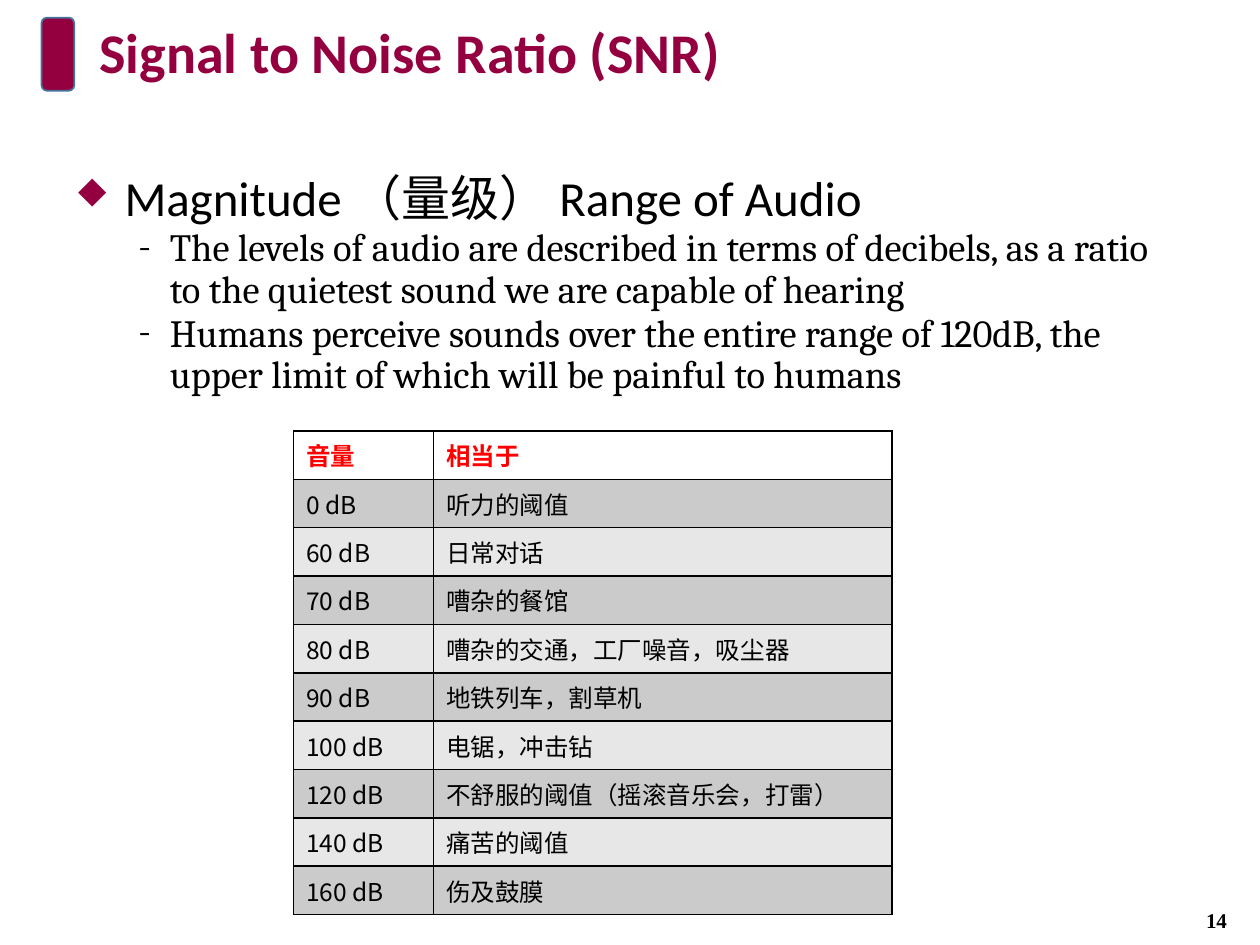
from lxml import etree
from pptx import Presentation
from pptx.dml.color import RGBColor
from pptx.enum.shapes import MSO_SHAPE
from pptx.enum.text import MSO_ANCHOR, MSO_AUTO_SIZE, PP_ALIGN
from pptx.oxml.ns import qn
from pptx.util import Inches, Pt

MIDDLE = MSO_ANCHOR.MIDDLE
COLORS = {
    "accent": "94003F", "outline": "43739E", "black": "000000", "red": "FF0000",
    "header": "FFFFFF", "dark": "CBCBCB", "light": "E7E7E7",
}
TITLE = "Signal to Noise Ratio (SNR)"
HEADING = [("Magnitude", "Calibri"), (" （量级）", "Cambria"), (" Range of Audio", "Calibri")]
POINTS = [
    "The levels of audio are described in terms of decibels, as a ratio to the "
    "quietest sound we are capable of hearing",
    "Humans perceive sounds over the entire range of 120dB, the upper limit of "
    "which will be painful to humans",
]
LEVELS = [
    ("音量", "相当于"),
    ("0 dB", "听力的阈值"),
    ("60 dB", "日常对话"),
    ("70 dB", "嘈杂的餐馆"),
    ("80 dB", "嘈杂的交通，工厂噪音，吸尘器"),
    ("90 dB", "地铁列车，割草机"),
    ("100 dB", "电锯，冲击钻"),
    ("120 dB", "不舒服的阈值（摇滚音乐会，打雷）"),
    ("140 dB", "痛苦的阈值"),
    ("160 dB", "伤及鼓膜"),
]
COLUMN_WIDTHS = (1.11, 3.64)
TABLE_HEIGHT = 3.84


def color(name):
    return RGBColor.from_string(COLORS[name])


def box(left, top, width, height):
    return Inches(left), Inches(top), Inches(width), Inches(height)


def add_element(parent, tag, **attributes):
    return etree.SubElement(parent, qn(tag), attributes)


def format_run(run, font_name, size, color_name="black", bold=False):
    font = run.font
    font.name, font.size, font.bold = font_name, Pt(size), bold
    font.color.rgb = color(color_name)
    add_element(run._r.get_or_add_rPr(), "a:ea", typeface="Noto Sans CJK SC")


def format_bullet(paragraph, character, font_name, margin, hanging,
                  color_name="black", percent=100):
    paragraph.line_spacing = 0.9
    paragraph.space_before = Pt(1.2)
    properties = paragraph._p.get_or_add_pPr()
    properties.set("marL", str(Inches(margin)))
    properties.set("indent", str(-Inches(hanging)))
    bullet_color = add_element(properties, "a:buClr")
    add_element(bullet_color, "a:srgbClr", val=COLORS[color_name])
    add_element(properties, "a:buSzPct", val=str(percent * 1000))
    add_element(properties, "a:buFont", typeface=font_name)
    add_element(properties, "a:buChar", char=character)


def add_title(slide):
    marker = slide.shapes.add_shape(MSO_SHAPE.ROUNDED_RECTANGLE, *box(0.33, 0.14, 0.26, 0.58))
    marker.shadow.inherit = False
    marker.fill.solid()
    marker.fill.fore_color.rgb = color("accent")
    marker.line.color.rgb = color("outline")
    marker.line.width = Pt(1)

    title = slide.shapes.title
    title.left, title.top, title.width, title.height = box(0.69, 0.15, 8.62, 0.58)
    text_frame = title.text_frame
    text_frame.text = TITLE
    text_frame.auto_size = MSO_AUTO_SIZE.NONE
    text_frame.vertical_anchor = MIDDLE
    paragraph = text_frame.paragraphs[0]
    paragraph.alignment = PP_ALIGN.LEFT
    paragraph.line_spacing = 0.9
    format_run(paragraph.runs[0], "Calibri", 32, "accent", True)


def add_body(slide):
    text_frame = slide.shapes.add_textbox(*box(0.5, 1.33, 9, 5.33)).text_frame
    text_frame.word_wrap = True
    heading = text_frame.paragraphs[0]
    for text, font_name in HEADING:
        run = heading.add_run()
        run.text = text
        format_run(run, font_name, 28)
    # In Wingdings the letter u is drawn as a black diamond.
    format_bullet(heading, "u", "Wingdings", 0.39, 0.39, "accent", 70)
    for text in POINTS:
        paragraph = text_frame.add_paragraph()
        paragraph.text = text
        paragraph.level = 1
        format_run(paragraph.runs[0], "Cambria", 22)
        format_bullet(paragraph, "-", "Cambria", 0.75, 0.25)


def add_borders(cell):
    properties = cell._tc.get_or_add_tcPr()
    for side in ("a:lnL", "a:lnR", "a:lnT", "a:lnB"):
        line = add_element(properties, side, w=str(Pt(1)))
        fill = add_element(line, "a:solidFill")
        add_element(fill, "a:srgbClr", val=COLORS["black"])


def add_levels_table(slide):
    frame = slide.shapes.add_table(
        len(LEVELS), len(COLUMN_WIDTHS),
        *box(2.33, 3.42, sum(COLUMN_WIDTHS), TABLE_HEIGHT))
    table = frame.table
    for column, width in zip(table.columns, COLUMN_WIDTHS):
        column.width = Inches(width)
    for row_index, values in enumerate(LEVELS):
        is_header = row_index == 0
        fill_name = "header" if is_header else ("light", "dark")[row_index % 2]
        for column_index, text in enumerate(values):
            cell = table.cell(row_index, column_index)
            cell.text = text
            format_run(cell.text_frame.paragraphs[0].runs[0], "Noto Sans CJK SC", 14,
                       "red" if is_header else "black", is_header)
            add_borders(cell)
            cell.fill.solid()
            cell.fill.fore_color.rgb = color(fill_name)


def add_page_number(slide):
    text_frame = slide.shapes.add_textbox(*box(9.23, 7.1, 0.85, 0.4)).text_frame
    text_frame.text = "14"
    text_frame.word_wrap = True
    text_frame.vertical_anchor = MIDDLE
    paragraph = text_frame.paragraphs[0]
    paragraph.alignment = PP_ALIGN.CENTER
    format_run(paragraph.runs[0], "Times New Roman", 12, bold=True)


def main():
    presentation = Presentation()
    presentation.slide_width, presentation.slide_height = Inches(10), Inches(7.5)
    slide = presentation.slides.add_slide(presentation.slide_layouts[5])
    add_title(slide)
    add_body(slide)
    add_page_number(slide)
    add_levels_table(slide)
    presentation.save("out.pptx")


if __name__ == "__main__":
    main()
